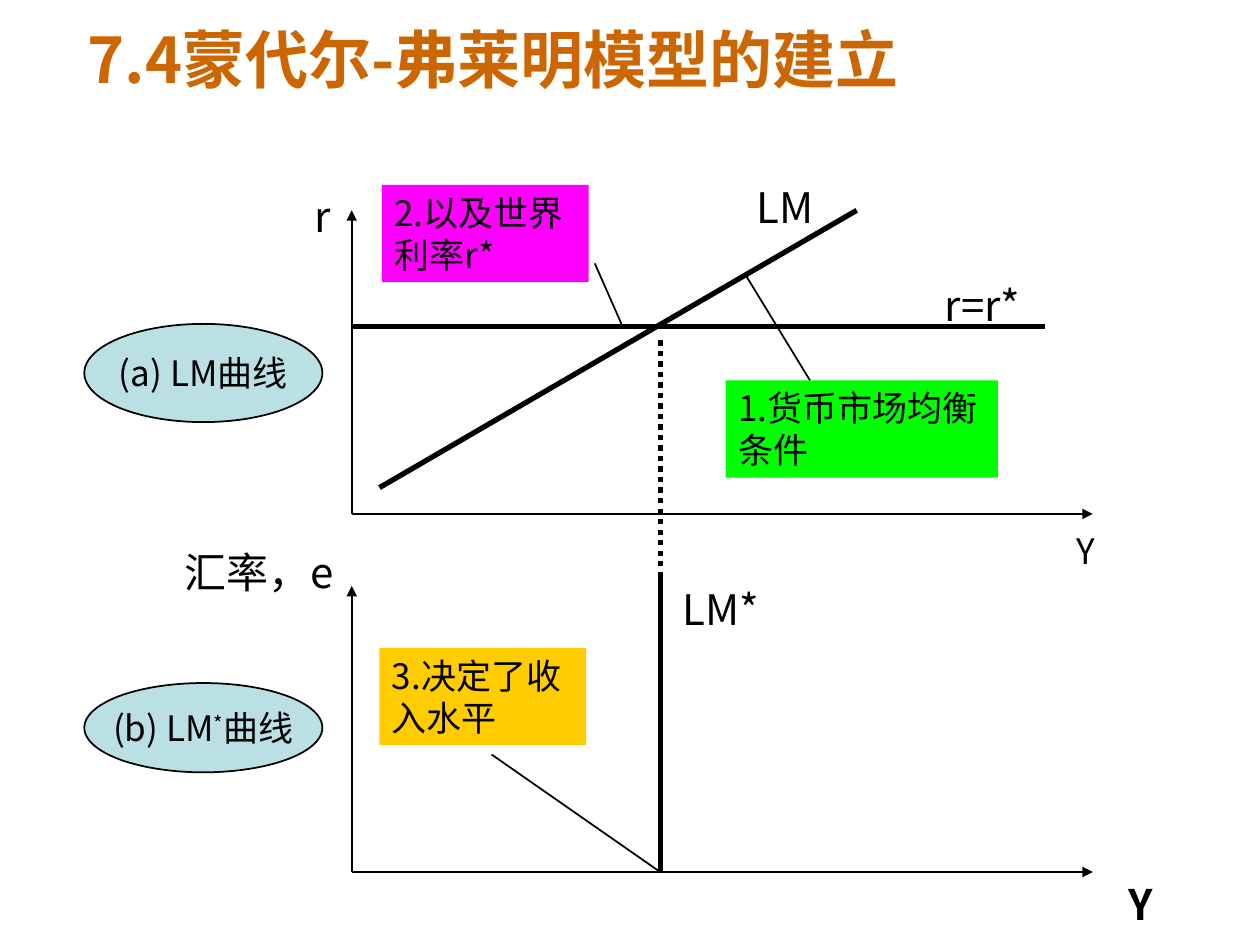
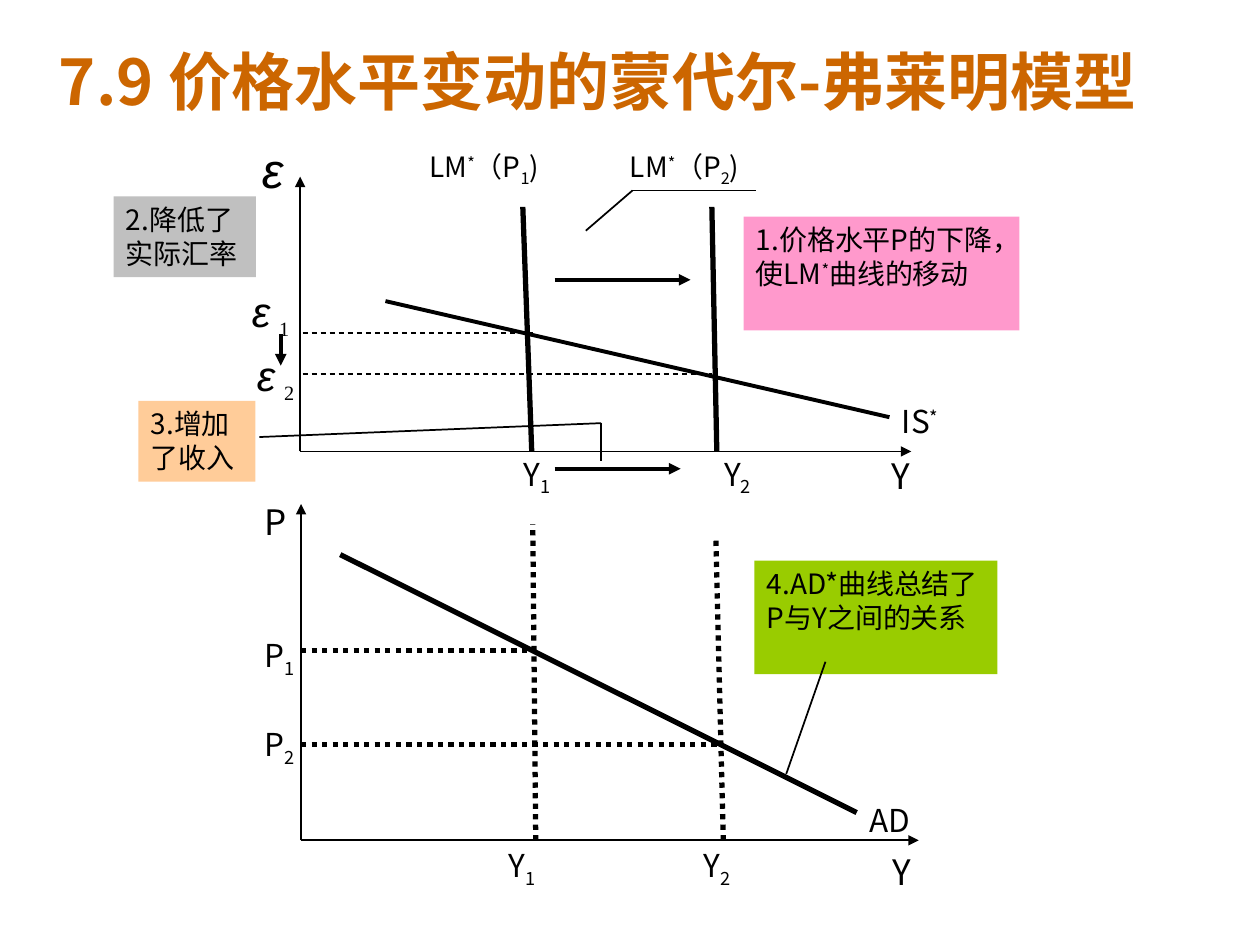
from collections import namedtuple
from lxml.etree import SubElement
from pptx import Presentation
from pptx.dml.color import RGBColor
from pptx.enum.dml import MSO_LINE as DASH
from pptx.enum.shapes import MSO_CONNECTOR, MSO_SHAPE as SHAPE
from pptx.enum.text import MSO_ANCHOR as ANCHOR, MSO_AUTO_SIZE as FIT, PP_ALIGN as ALIGN
from pptx.oxml.ns import qn
from pptx.util import Cm, Pt

Box = namedtuple("Box", "x y w h")

COLORS = {
    "ink": "000000", "title": "CC6600", "oval": "BBE0E3",
    "green": "00FF00", "magenta": "FF00FF", "amber": "FFCC00",
    "pink": "FF99CC", "grey": "C0C0C0", "peach": "FFCC99", "lime": "99CC00",
}
FONT = "Noto Sans CJK SC"
BASELINES = {"^": "30000", "_": "-25000"}
THIN, MEDIUM, THICK = 1, 2.25, 3


def color(name):
    return RGBColor.from_string(COLORS[name])


def add_run(p, text, size, ink="ink", name=FONT, **fmt):
    base = BASELINES.get(text[0])
    r = p.add_run()
    r.text = text[1:] if base else text
    for key, value in {"size": Pt(size), "name": name, **fmt}.items():
        setattr(r.font, key, value)
    r.font.color.rgb = color(ink)
    rPr = r.font._element
    SubElement(rPr, qn("a:ea")).set("typeface", name)
    if base:
        rPr.set("baseline", base)


def write(sp, parts, size, **fmt):
    tf = sp.text_frame
    tf.word_wrap = True
    tf.auto_size = FIT.SHAPE_TO_FIT_TEXT
    for part in parts:
        add_run(tf.paragraphs[0], part, size, **fmt)
    return tf


def place(box, x, y, w, h):
    return Cm(box.x + x), Cm(box.y + y), Cm(w), Cm(h)


def label(s, box, x, y, w, h, parts, size, **fmt):
    write(s.shapes.add_textbox(*place(box, x, y, w, h)), parts, size, **fmt)


def filled(s, box, x, y, w, h, kind, fill):
    sp = s.shapes.add_shape(kind, *place(box, x, y, w, h))
    sp.shadow.inherit = False
    sp.fill.solid()
    sp.fill.fore_color.rgb = color(fill)
    return sp


def note(s, box, x, y, w, h, fill, parts, size):
    sp = filled(s, box, x, y, w, h, SHAPE.RECTANGLE, fill)
    sp.line.fill.background()
    tf = write(sp, parts, size)
    tf.vertical_anchor = ANCHOR.TOP
    tf.paragraphs[0].alignment = ALIGN.LEFT


def oval(s, box, y, h, parts):
    sp = filled(s, box, -5.39, y, 4.8, h, SHAPE.OVAL, "oval")
    sp.line.color.rgb = color("ink")
    sp.line.width = Pt(THIN)
    tf = write(sp, parts, 20)
    tf.auto_size = FIT.NONE
    tf.word_wrap = False
    tf.vertical_anchor = ANCHOR.MIDDLE
    tf.paragraphs[0].alignment = ALIGN.CENTER


def line(s, box, points, width=THIN, dash=None, arrow=False):
    for (x1, y1), (x2, y2) in zip(points, points[1:]):
        c = s.shapes.add_connector(
            MSO_CONNECTOR.STRAIGHT, Cm(box.x + x1), Cm(box.y + y1),
            Cm(box.x + x2), Cm(box.y + y2))
        c.line.color.rgb = color("ink")
        c.line.width = Pt(width)
        if dash:
            c.line.dash_style = dash
        spPr = c.element.spPr
        if arrow:
            SubElement(spPr.find(qn("a:ln")), qn("a:tailEnd")).set("type", "triangle")
        SubElement(spPr, qn("a:effectLst"))


def axes(s, box):
    for end in [(0, 0), (box.w, box.h)]:
        line(s, box, [(0, box.h), end], arrow=True)


def title(s, x, y, w, text):
    label(s, Box(x, y, w, 1.78), 0, 0, w, 1.78, [text], 36, ink="title", bold=True)


def lm_panel(s, box, income):
    axes(s, box)
    rate = 2.34
    line(s, box, [(income, 7.39), (income, 2.52)], THICK, DASH.ROUND_DOT)
    line(s, box, [(0.56, 5.59), (10.18, 0)], THICK)
    line(s, box, [(0, rate), (13.97, rate)], THICK)
    line(s, box, [(9.24, 3.43), (7.92, 1.27)])
    line(s, box, [(4.9, 1.07), (5.46, rate)])
    note(s, box, 7.54, 3.43, 5.49, 1.96, "green", ["1.货币市场均衡条件"], 20)
    note(s, box, 0.61, -0.51, 4.17, 1.96, "magenta", ["2.以及世界利率r*"], 20)
    oval(s, box, 2.29, 1.98, ["(a) LM曲线"])
    label(s, box, -0.99, -0.53, 1.55, 1.27, ["r"], 24)
    label(s, box, 11.71, 1.27, 2.46, 1.27, ["r=r*"], 24)
    label(s, box, 7.92, -0.71, 2.26, 1.27, ["LM"], 24)
    label(s, box, 14.37, 6.3, 1.45, 1.12, ["Y"], 20)


def lm_star_panel(s, box, income):
    axes(s, box)
    foot = (income, box.h)
    line(s, box, [foot, (income, -0.18)], THICK)
    line(s, box, [(2.82, 3.4), foot])
    note(s, box, 0.56, 1.25, 4.17, 1.96, "amber", ["3.决定了收入水平"], 20)
    oval(s, box, 1.96, 1.8, ["(b) LM", "^*", "曲线"])
    label(s, box, -3.61, -0.91, 5.11, 1.27, ["汇率，e"], 24)
    label(s, box, 6.42, -0.18, 2.26, 1.27, ["LM*"], 24)
    label(s, box, 15.41, box.h, 1.85, 1.27, ["Y"], 24, bold=True)


def epsilon(s, box, x, y, w, index):
    sp = s.shapes.add_textbox(*place(box, x, y, w, 1.37))
    tf = write(sp, ["ε"], 24, name="Arial", italic=True)
    p = tf.paragraphs[0]
    add_run(p, " ", 20, name="Times New Roman", italic=True)
    add_run(p, f"_{index}", 20, name="Times New Roman")


def exchange_panel(s, box):
    axes(s, box)
    curves = [
        (1, 4.49, 4.67, 4.26, 2.36, 3.38),
        (2, 8.3, 8.4, 8.3, 6.4, 4.37),
    ]
    for i, top, foot, tick, name_x, name_w in curves:
        line(s, box, [(foot, box.h), (top, 0.61)], THICK)
        label(s, box, tick, 5.48, 1.24, 1.12, ["Y", f"_{i}"], 18)
        label(s, box, name_x, -0.66, name_w, 1.04, ["LM", "^*", "（P", f"_{i}", ")"], 16)
    for y, end in [(3.15, 4.69), (3.98, 8.3)]:
        line(s, box, [(0.05, y), (end, y)], 0.75, DASH.DASH)
    line(s, box, [(1.72, 2.51), (11.88, 4.85)], MEDIUM)
    line(s, box, [(5.76, 1.09), (6.7, 0.28), (9.19, 0.28)])
    line(s, box, [(-0.82, 5.25), (6.07, 4.97), (6.07, 5.74)])
    note(s, box, 8.94, 0.81, 5.56, 2.29, "pink", ["1.价格水平P的下降，使LM", "^*", "曲线的移动"], 16)
    note(s, box, -3.76, 0.4, 2.87, 1.63, "grey", ["2.降低了实际汇率"], 16)
    note(s, box, -3.26, 4.52, 2.36, 1.63, "peach", ["3.增加了收入"], 16)
    label(s, box, -1.02, -0.87, 0.94, 1.45, ["ε"], 28, name="Arial", italic=True)
    epsilon(s, box, -1.22, 2.08, 1.91, 1)
    epsilon(s, box, -1.12, 3.37, 1.57, 2)
    label(s, box, 11.68, 5.48, 1.12, 1.12, ["Y"], 20)
    label(s, box, 11.88, 4.42, 2.39, 1.02, ["IS", "^*"], 18)
    shifts = [
        [(-0.39, 3.17), (-0.39, 3.81)],
        [(5.13, 5.89), (7.67, 5.89)],
        [(5.13, 2.08), (7.87, 2.08)],
    ]
    for shift in shifts:
        line(s, box, shift, MEDIUM, arrow=True)


def demand_panel(s, box):
    axes(s, box)
    guides = [
        (1, 4.57, 2.95, 4.73, (4.67, 0.41), 3.94, 2.54),
        (2, 8.51, 4.85, 8.51, (8.36, 0.64), 7.87, 4.34),
    ]
    for i, end, price, foot, top, income_x, price_y in guides:
        line(s, box, [(0, price), (end, price)], THICK, DASH.ROUND_DOT)
        line(s, box, [(foot, box.h), top], THICK, DASH.ROUND_DOT)
        label(s, box, income_x, box.h, 1.26, 1.12, ["Y", f"_{i}"], 18)
        label(s, box, -0.99, price_y, 1.27, 1.12, ["P", f"_{i}"], 18)
    line(s, box, [(11.2, 6.22), (0.79, 1.02)], THICK)
    note(s, box, 9.14, 1.14, 4.9, 2.29, "lime", ["4.AD*曲线总结了P与Y之间的关系"], 16)
    line(s, box, [(9.78, 5.44), (10.57, 3.18)])
    label(s, box, -0.99, -0.2, 0.89, 1.12, ["P"], 20)
    label(s, box, 11.68, 6.86, 1.24, 1.12, ["Y"], 20)
    label(s, box, 11.2, 5.87, 1.75, 1.02, ["AD"], 18)


def main():
    prs = Presentation()
    prs.slide_width, prs.slide_height = Cm(25.4), Cm(19.05)
    blank = prs.slide_layouts[6]

    s = prs.slides.add_slide(blank)
    title(s, 1.52, 0.28, 17.6, "7.4蒙代尔-弗莱明模型的建立")
    income = 6.22
    lm_panel(s, Box(7.09, 4.24, 14.94, 6.12), income)
    lm_star_panel(s, Box(7.09, 11.81, 14.94, 5.77), income)

    s = prs.slides.add_slide(blank)
    title(s, 0.94, 0.74, 24.4, "7.9 价格水平变动的蒙代尔-弗莱明模型")
    exchange_panel(s, Box(6.05, 3.56, 12.32, 5.54))
    demand_panel(s, Box(6.07, 10.16, 12.45, 6.78))

    prs.save("out.pptx")


if __name__ == "__main__":
    main()
